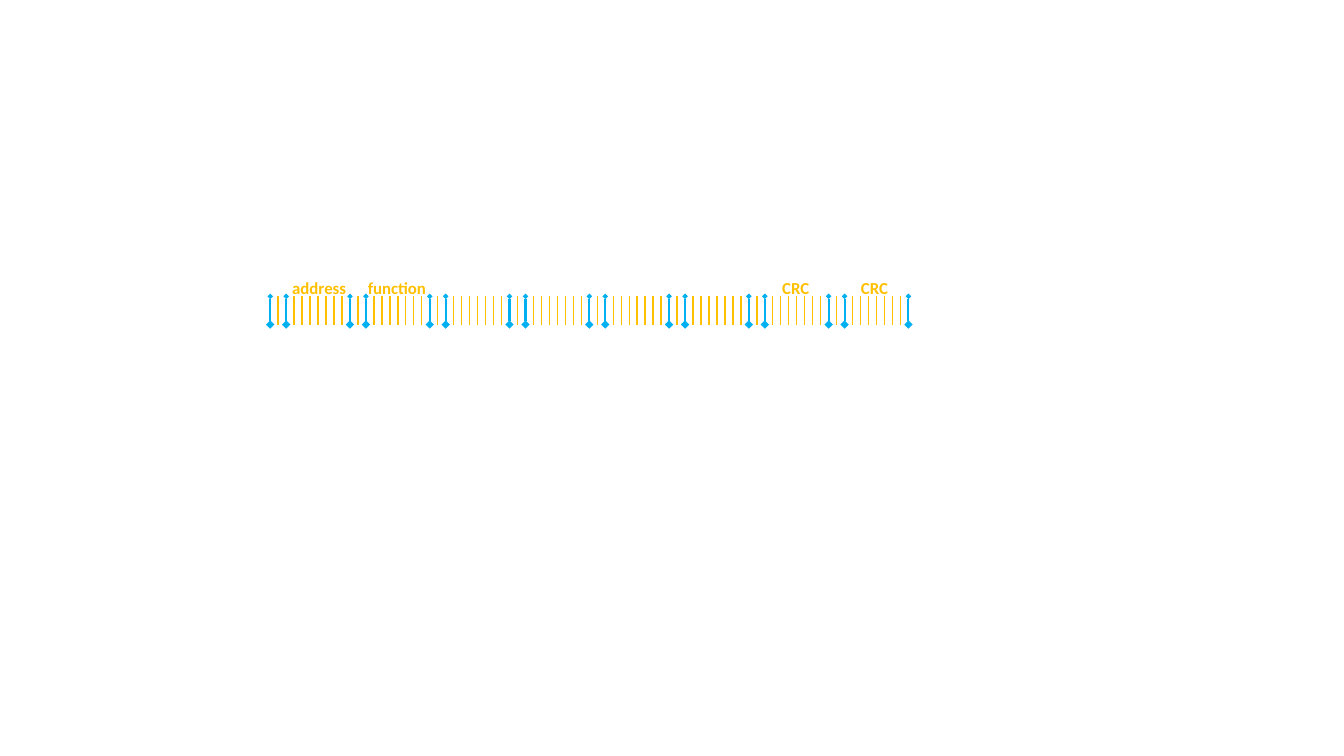
from lxml.etree import SubElement
from pptx import Presentation
from pptx.dml.color import RGBColor
from pptx.enum.shapes import MSO_CONNECTOR
from pptx.enum.text import MSO_AUTO_SIZE
from pptx.oxml.ns import qn
from pptx.util import Inches, Pt

COLORS = {"bit": "FFC000", "byte_edge": "00B0F0"}

deck = Presentation()
deck.slide_width, deck.slide_height = Inches(13.33), Inches(7.5)
page = deck.slides.add_slide(deck.slide_layouts[6])
frame = page.shapes.add_group_shape().shapes

# Eight frames of ten bits each; the data byte lies between two edges.
FRAMES, BITS = 8, 10
LEFT, RIGHT, TOP, BOTTOM = 2.68, 9.01, 2.94, 3.22
step = (RIGHT - LEFT) / (FRAMES * BITS)

for bit in range(FRAMES * BITS + 1):
    is_edge = bit % BITS in (0, 2)
    x = Inches(LEFT + bit * step)
    tick = frame.add_connector(MSO_CONNECTOR.STRAIGHT, x, Inches(TOP), x, Inches(BOTTOM))
    tick.line.color.rgb = RGBColor.from_string(COLORS["byte_edge" if is_edge else "bit"])
    tick.line.width = Pt(1.5 if is_edge else 1)
    if is_edge:
        outline = tick.line._get_or_add_ln()
        for end, size in (("a:headEnd", "sm"), ("a:tailEnd", "med")):
            SubElement(outline, qn(end), type="diamond", w=size, len=size)
    SubElement(tick._element.spPr, qn("a:effectLst"))

LABELS = [
    ("address", 2.8, 1.03),
    ("function", 3.55, 1.03),
    ("CRC", 7.66, 1.03),
    ("CRC", 8.44, 0.48),
]
FONT = {"name": "Calibri", "size": Pt(12), "bold": True}

for text, left, width in LABELS:
    box = frame.add_textbox(Inches(left), Inches(2.71), Inches(width), Inches(0.3))
    box.text_frame.word_wrap = True
    box.text_frame.auto_size = MSO_AUTO_SIZE.SHAPE_TO_FIT_TEXT
    span = box.text_frame.paragraphs[0].add_run()
    span.text = text
    for name, value in FONT.items():
        setattr(span.font, name, value)
    span.font.color.rgb = RGBColor.from_string(COLORS["bit"])

deck.save("out.pptx")
